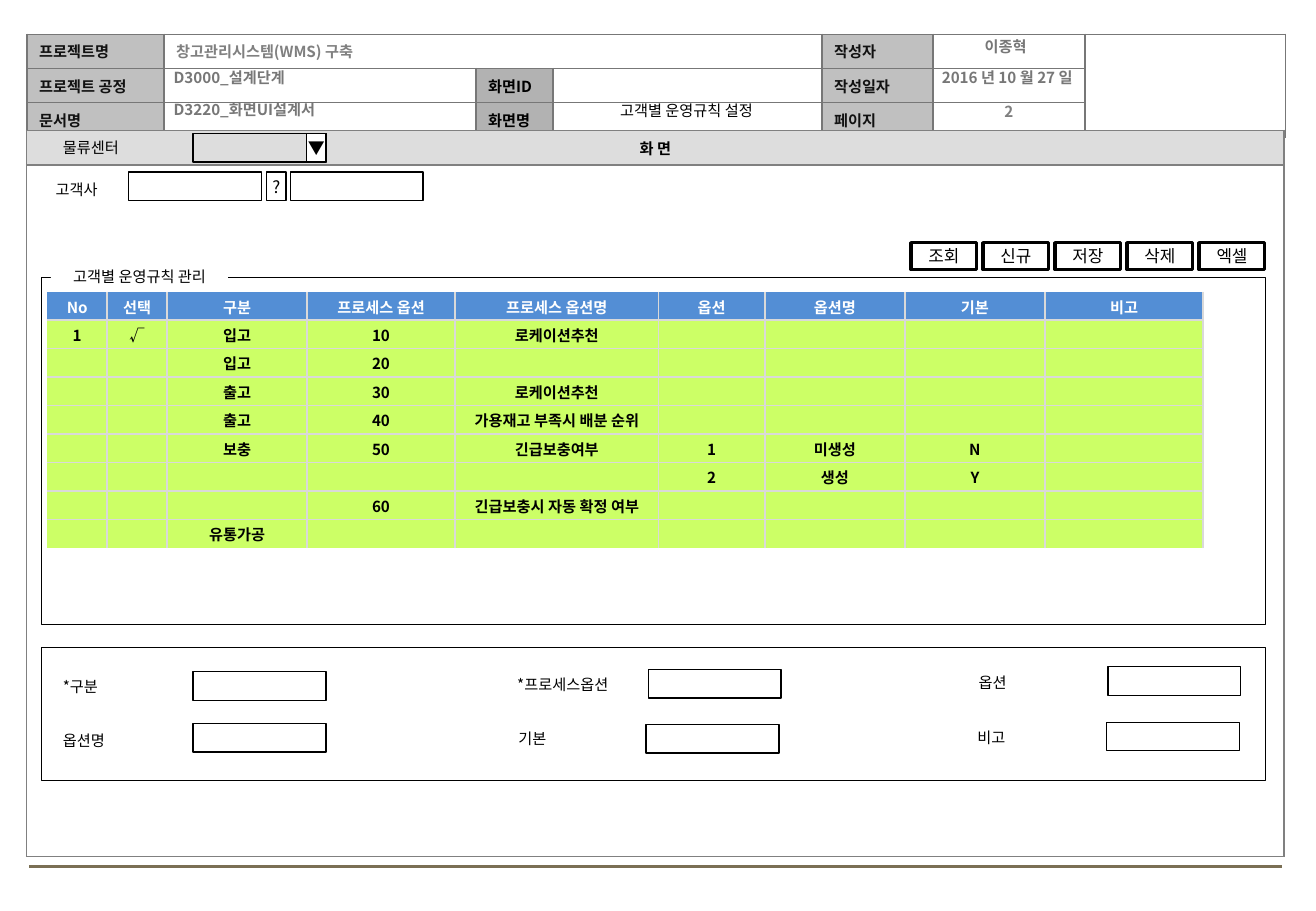
from dataclasses import dataclass
from typing import Optional

import lxml.etree
import pptx
import pptx.dml.color
import pptx.enum.shapes
import pptx.enum.text
import pptx.oxml.ns
import pptx.util

Pt = pptx.util.Pt
qn = pptx.oxml.ns.qn
Align = pptx.enum.text.PP_ALIGN
Anchor = pptx.enum.text.MSO_ANCHOR
FONT = "Noto Sans CJK KR"
NO_STYLE = "{2D5ABB26-0587-4C30-8999-92F81FD0307C}"
BLACK, WHITE, GRAY, MUTED = "000000", "FFFFFF", "777777", "808080"
INPUT_WIDTH, INPUT_HEIGHT = 78.8, 16.9


@dataclass
class Label:
    text: str
    left: float
    top: float
    width: float
    centered: bool = True
    color: str = BLACK
    bold: bool = False
    fill: Optional[str] = None


@dataclass
class Box:
    left: float
    top: float
    width: float = INPUT_WIDTH
    height: float = INPUT_HEIGHT
    text: str = ""
    line: float = 0.75
    fill: Optional[str] = WHITE


@dataclass
class Field:
    label: str
    label_left: float
    label_top: float
    input_left: float
    input_top: float


@dataclass
class CellStyle:
    color: str = BLACK
    bold: bool = True
    fill: Optional[str] = None
    align: Align = Align.CENTER
    insets: tuple = (0.7, 0.7, 0.7, 0)
    line: str = "D9D9D9"
    sides: str = "LRTB"


def rgb(color: str) -> pptx.dml.color.RGBColor:
    return pptx.dml.color.RGBColor.from_string(color)


def paint(fill, color: Optional[str]) -> None:
    if color is None:
        fill.background()
    else:
        fill.solid()
        fill.fore_color.rgb = rgb(color)


def write(frame, text: str, size: float, color: str, bold: bool, align: Align) -> None:
    paragraph = frame.paragraphs[0]
    paragraph.text = text
    paragraph.alignment = align
    font = paragraph.font
    font.size, font.bold, font.name = Pt(size), bold, FONT
    font.color.rgb = rgb(color)
    defaults = paragraph._p.pPr.find(qn("a:defRPr"))
    lxml.etree.SubElement(defaults, qn("a:ea"), typeface=FONT)
    if not text:  # keeps empty cells from growing
        end = lxml.etree.SubElement(paragraph._p, qn("a:endParaRPr"))
        end.set("sz", str(int(size * 100)))


def set_insets(target, insets: tuple) -> None:
    (target.margin_left, target.margin_top,
     target.margin_right, target.margin_bottom) = map(Pt, insets)


def add_label(slide, label: Label) -> None:
    shape = slide.shapes.add_textbox(Pt(label.left), Pt(label.top), Pt(label.width), Pt(18))
    paint(shape.fill, label.fill)
    shape.text_frame.word_wrap = True
    align = Align.CENTER if label.centered else Align.LEFT
    write(shape.text_frame, label.text, 9, label.color, label.bold, align)


def add_box(slide, box: Box) -> None:
    shape = slide.shapes.add_shape(pptx.enum.shapes.MSO_SHAPE.RECTANGLE, Pt(box.left),
                                   Pt(box.top), Pt(box.width), Pt(box.height))
    shape.shadow.inherit = False
    paint(shape.fill, box.fill)
    shape.line.color.rgb = rgb(BLACK)
    shape.line.width = Pt(box.line)
    if box.text:
        frame = shape.text_frame
        frame.word_wrap = False
        frame.vertical_anchor = Anchor.MIDDLE
        set_insets(frame, (1.4, 2.8, 1.4, 2.8))
        write(frame, box.text, 10, BLACK, False, Align.CENTER)


def add_grid(slide, left: float, top: float, widths: list, heights: list):
    table = slide.shapes.add_table(len(heights), len(widths), Pt(left), Pt(top),
                                   Pt(sum(widths)), Pt(sum(heights))).table
    table.first_row = table.horz_banding = False
    table._tbl.tblPr.find(qn("a:tableStyleId")).text = NO_STYLE
    for column, width in zip(table.columns, widths):
        column.width = Pt(width)
    for row, height in zip(table.rows, heights):
        row.height = Pt(height)
    return table


def fill_cell(cell, text: str, style: CellStyle) -> None:
    properties = cell._tc.get_or_add_tcPr()
    for side in "LRTB":
        border = lxml.etree.SubElement(properties, qn("a:ln" + side), w=str(Pt(1)))
        if side in style.sides:
            solid = lxml.etree.SubElement(border, qn("a:solidFill"))
            lxml.etree.SubElement(solid, qn("a:srgbClr"), val=style.line)
        else:
            lxml.etree.SubElement(border, qn("a:noFill"))
    paint(cell.fill, style.fill)
    cell.vertical_anchor = Anchor.MIDDLE
    set_insets(cell, style.insets)
    write(cell.text_frame, text, 9, style.color, style.bold, style.align)


def add_document_header(slide) -> None:
    rows = [["프로젝트명", "창고관리시스템(WMS) 구축", "", "", "작성자", "", ""],
            ["프로젝트 공정", "", "화면ID", "", "작성일자", "", ""],
            ["문서명", "", "화면명", "", "페이지", "", ""]]
    fills = {0: "C0C0C0", 2: "B2B2B2", 4: "C0C0C0"}
    colors = {0: "111111", 1: MUTED, 4: "111111"}
    table = add_grid(slide, 16, 20.3, [81.2, 185, 45.5, 159.5, 65.9, 90, 118.9], [18] * 3)
    for r, row in enumerate(rows):
        for c, text in enumerate(row):
            fill = None if (r, c) == (0, 2) else fills.get(c)
            style = CellStyle(colors.get(c, BLACK), True, fill, Align.LEFT,
                              (7.2, 3.6, 7.2, 3.6), GRAY)
            fill_cell(table.cell(r, c), text, style)
    table.cell(0, 1).merge(table.cell(0, 3))
    table.cell(0, 6).merge(table.cell(2, 6))


def add_rules_table(slide) -> None:
    rows = [["No", "선택", "구분", "프로세스 옵션", "프로세스 옵션명", "옵션", "옵션명", "기본", "비고"],
            ["1", "√", "입고", "10", "로케이션추천", "", "", "", ""],
            ["", "", "입고", "20", "", "", "", "", ""],
            ["", "", "출고", "30", "로케이션추천", "", "", "", ""],
            ["", "", "출고", "40", "가용재고 부족시 배분 순위", "", "", "", ""],
            ["", "", "보충", "50", "긴급보충여부", "1", "미생성", "N", ""],
            ["", "", "", "", "", "2", "생성", "Y", ""],
            ["", "", "", "60", "긴급보충시 자동 확정 여부", "", "", "", ""],
            ["", "", "유통가공", "", "", "", "", "", ""]]
    widths = [35.5, 35.5, 83, 87.7, 120.6, 63.1, 83, 83, 93.8]
    table = add_grid(slide, 28, 172.9, widths, [16.88] * len(rows))
    for r, row in enumerate(rows):
        for c, text in enumerate(row):
            sides = "R" + "L" * (c > 0) + "T" * (r > 0) + "B" * (r < len(rows) - 1)
            color, fill = (BLACK, "CCFF66") if r else (WHITE, "538ED5")
            fill_cell(table.cell(r, c), text, CellStyle(color, fill=fill, sides=sides))


def main() -> None:
    presentation = pptx.Presentation()
    presentation.slide_width, presentation.slide_height = Pt(780), Pt(540)
    slide = presentation.slides.add_slide(presentation.slide_layouts[6])

    # Footer rule
    rule = slide.shapes.add_connector(pptx.enum.shapes.MSO_CONNECTOR.STRAIGHT,
                                      Pt(17.4), Pt(513.8), Pt(760), Pt(513.8))
    rule.line.color.rgb = rgb("7A6F54")
    rule.line.width = Pt(1.75)
    lxml.etree.SubElement(rule._element.spPr, qn("a:effectLst"))

    # Document header and screen frame
    add_document_header(slide)
    screen = add_grid(slide, 15.8, 77.3, [745.2], [20.6, 410])
    for r, (text, fill) in enumerate([("화 면", "DDDDDD"), ("", None)]):
        style = CellStyle(fill=fill, insets=(1.4, 0, 1.4, 0), line=MUTED)
        fill_cell(screen.cell(r, 0), text, style)
    for label in [Label("D3000_설계단계", 95.8, 37.2, 390, False, GRAY, True),
                  Label("D3220_화면UI설계서", 95.8, 56, 390, False, GRAY, True),
                  Label("이종혁", 539.5, 18.7, 113, True, GRAY, True),
                  Label("2016 년 10 월 27 일", 540.5, 37.2, 113, True, GRAY, True),
                  Label("2", 553, 56.9, 90, True, "7F7F7F", True),
                  Label("고객별 운영규칙 설정", 328.3, 56.2, 157)]:
        add_label(slide, label)

    # Search conditions
    add_label(slide, Label("물류센터", 30.2, 78.5, 84.2, False))
    add_label(slide, Label("고객사", 16.6, 103.2, 57.6))
    for box in [Box(114.5, 79.2, fill=None), Box(181.8, 79.2, 11.5, text="▼"),
                Box(76.2, 102), Box(158, 102, 11.5, text="?"), Box(172, 102)]:
        add_box(slide, box)

    # Command buttons
    for index, text in enumerate(["조회", "신규", "저장", "삭제", "엑셀"]):
        add_box(slide, Box(540 + 42.7 * index, 143.9, 38.9, 16, text, 2))

    # Rule list
    add_rules_table(slide)
    add_box(slide, Box(24.5, 164.4, 725.6, 206, fill=None))
    add_label(slide, Label("고객별 운영규칙 관리", 30.2, 154.8, 105, fill=WHITE))

    # Detail form
    add_box(slide, Box(24.5, 383.8, 725.6, 79, fill=None))
    for field in [Field("*구분", 30.2, 398.2, 114.5, 398.2),
                  Field("*프로세스옵션", 299.5, 396.9, 384.2, 396.9),
                  Field("옵션", 573, 395.3, 656.7, 395.3),
                  Field("옵션명", 30.2, 429.8, 114.5, 428.9),
                  Field("기본", 300.2, 428.6, 383, 429.5),
                  Field("비고", 572.2, 428.2, 656, 428.2)]:
        add_label(slide, Label(field.label, field.label_left, field.label_top, 84.2, False))
        add_box(slide, Box(field.input_left, field.input_top, fill=None))

    presentation.save("out.pptx")


if __name__ == "__main__":
    main()
